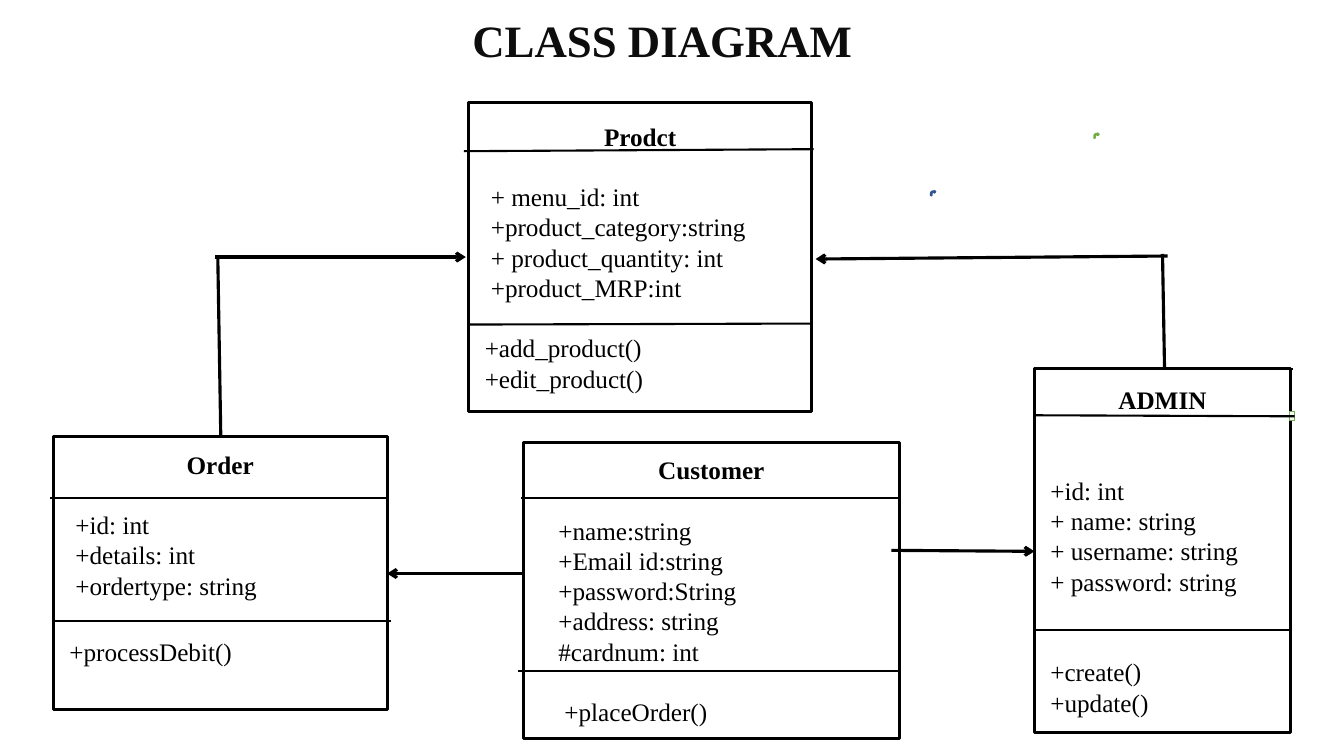
from pptx import Presentation
from pptx.dml.color import RGBColor
from pptx.enum.shapes import MSO_CONNECTOR, MSO_SHAPE
from pptx.enum.text import MSO_ANCHOR, MSO_AUTO_SIZE, PP_ALIGN
from pptx.oxml.ns import qn
from pptx.util import Inches, Pt
from lxml.etree import SubElement

FONT = "Times New Roman"
ROW = 21.6  # text row height in points
INSET = 0.1

# Class: name, box (left, top, width, height), space above the name, then
# groups of (rows of gap above, indent, members)
CLASSES = [
    ("Prodct", (4.65, 1.02, 3.4, 3.06), 0.18, [
        (1, 0.12, ["+ menu_id: int", "+product_category:string",
                   "+ product_quantity: int", "+product_MRP:int"]),
        (1, 0.06, ["+add_product()", "+edit_product()"])]),
    ("ADMIN", (10.26, 3.66, 2.54, 3.61), 0.155, [
        (2, 0.06, ["+id: int", "+ name: string", "+ username: string",
                   "+ password: string"]),
        (2, 0.06, ["+create()", "+update()"])]),
    ("Order", (0.53, 4.33, 3.31, 2.71), 0.125, [
        (1, 0.12, ["+id: int", "+details: int", "+ordertype: string"]),
        (1.2, 0.06, ["+processDebit()"])]),
    ("Customer", (5.19, 4.39, 3.73, 2.94), 0.12, [
        (1, 0.25, ["+name:string", "+Email id:string", "+password:String",
                   "+address: string", "#cardnum: int"]),
        (1, 0.31, ["+placeOrder()"])]),
]

# Lines: x1, y1, x2, y2
DIVIDERS = [
    (4.6, 1.5, 8.07, 1.48), (4.66, 3.22, 8.05, 3.21),
    (10.27, 3.66, 12.82, 3.66), (10.25, 4.12, 12.84, 4.13),
    (10.26, 6.25, 12.81, 6.25),
    (0.5, 4.94, 3.84, 4.94), (0.53, 6.16, 3.88, 6.16),
    (5.17, 4.94, 8.94, 4.94), (5.14, 6.66, 8.92, 6.66),
]
STEMS = [(2.16, 2.54, 2.19, 4.33), (11.53, 2.52, 11.55, 3.65)]
ARROWS = [
    (2.13, 2.55, 4.62, 2.55), (5.2, 5.69, 3.84, 5.69),
    (8.84, 5.46, 10.26, 5.47), (11.58, 2.54, 8.09, 2.57),
]

# Small marks: shape, box, fill, line
MARKS = [
    (MSO_SHAPE.RECTANGLE, (12.79, 4.08, 0.05, 0.09), "FFFFFF", "70AD47"),
    (MSO_SHAPE.BENT_ARROW, (9.23, 1.89, 0.05, 0.05), "4472C4", "325491"),
    (MSO_SHAPE.BENT_ARROW, (10.85, 1.32, 0.05, 0.05), "FFFFFF", "70AD47"),
]


def rgb(value):
    return RGBColor.from_string(value)


def add_box(s, kind, box, fill, line, weight):
    sp = s.shapes.add_shape(kind, *map(Inches, box))
    sp.shadow.inherit = False
    sp.fill.solid()
    sp.fill.fore_color.rgb = rgb(fill)
    sp.line.color.rgb = rgb(line)
    sp.line.width = Pt(weight)
    return sp


def add_line(s, ends, weight, arrow=False):
    c = s.shapes.add_connector(MSO_CONNECTOR.STRAIGHT, *map(Inches, ends))
    c.line.color.rgb = rgb("000000")
    c.line.width = Pt(weight)
    if arrow:
        SubElement(c.line._get_or_add_ln(), qn("a:tailEnd"), type="arrow")
    SubElement(c._element.spPr, qn("a:effectLst"))


def add_run(p, text, size, color, bold):
    r = p.add_run()
    r.text = text
    r.font.name = FONT
    r.font.size = Pt(size)
    r.font.bold = bold
    r.font.color.rgb = rgb(color)


def add_class(s, name, box, top, groups):
    tf = add_box(s, MSO_SHAPE.RECTANGLE, box, "FFFFFF", "000000", 2.25).text_frame
    tf.word_wrap = True
    tf.vertical_anchor = MSO_ANCHOR.TOP
    tf.margin_left = tf.margin_right = Inches(INSET)
    tf.margin_top, tf.margin_bottom = Inches(top), 0
    p = tf.paragraphs[0]
    p.alignment = PP_ALIGN.CENTER
    p.line_spacing = Pt(ROW)
    add_run(p, name, 18, "000000", True)
    for gap, indent, members in groups:
        for i, member in enumerate(members):
            p = tf.add_paragraph()
            p.alignment = PP_ALIGN.LEFT
            p.line_spacing = Pt(ROW)
            p.space_before = Pt(0 if i else gap * ROW)
            p._p.get_or_add_pPr().set("marL", str(Inches(indent)))
            add_run(p, member, 18, "000000", False)


def main():
    prs = Presentation()
    prs.slide_width, prs.slide_height = Inches(13.33), Inches(7.5)
    s = prs.slides.add_slide(prs.slide_layouts[5])

    # Title
    title = s.shapes.title
    title.left, title.top, title.width, title.height = map(
        Inches, (2.55, 0.07, 8.04, 0.64))
    tf = title.text_frame
    tf.auto_size = MSO_AUTO_SIZE.NONE
    tf.vertical_anchor = MSO_ANCHOR.MIDDLE
    p = tf.paragraphs[0]
    p.alignment = PP_ALIGN.CENTER
    add_run(p, "CLASS DIAGRAM", 32, "0D0D0D", True)

    # Class boxes and their compartments
    for item in CLASSES:
        add_class(s, *item)
    for kind, box, fill, line in MARKS:
        add_box(s, kind, box, fill, line, 1)
    for ends in DIVIDERS:
        add_line(s, ends, 1.5)

    # Relations between classes
    for ends in STEMS:
        add_line(s, ends, 2.25)
    for ends in ARROWS:
        add_line(s, ends, 2.25, arrow=True)

    prs.save("out.pptx")


if __name__ == "__main__":
    main()
